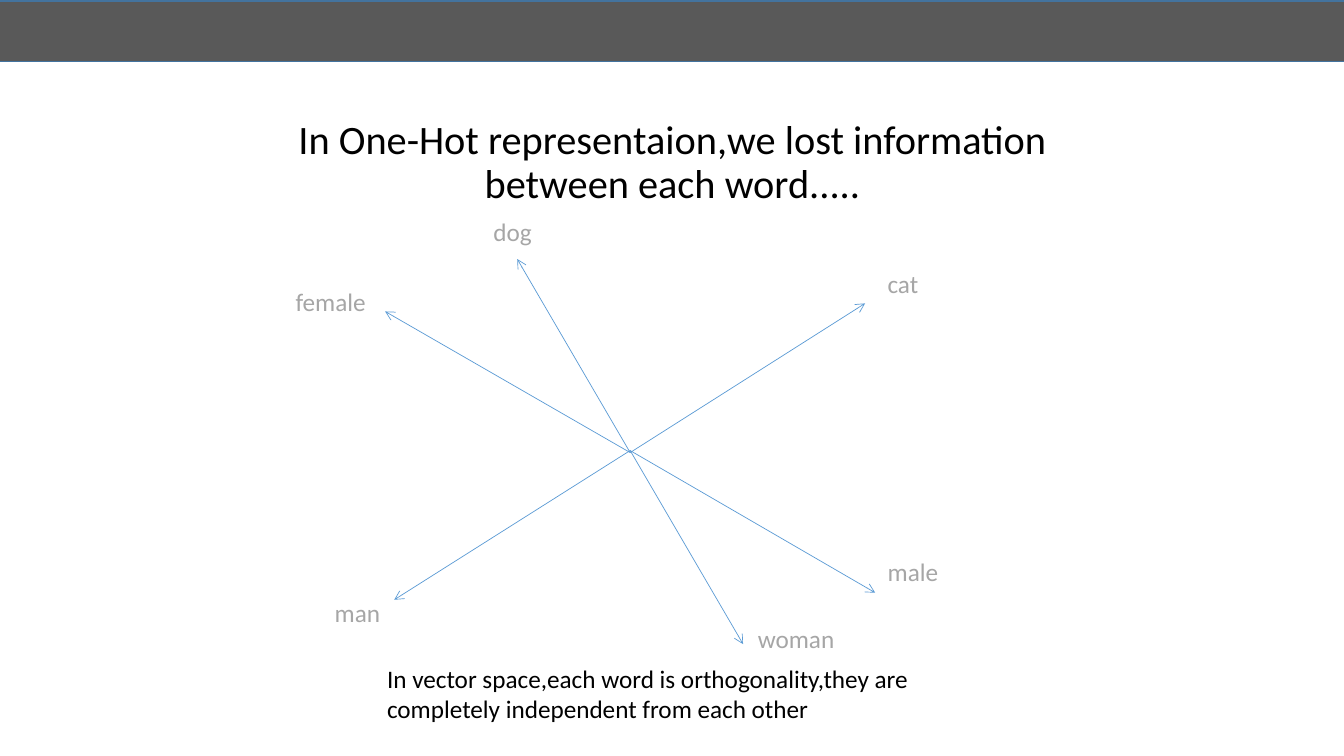
from dataclasses import dataclass

from lxml.etree import SubElement
from pptx import Presentation
from pptx.dml.color import RGBColor
from pptx.enum.shapes import MSO_CONNECTOR, MSO_SHAPE
from pptx.enum.text import MSO_ANCHOR, PP_ALIGN
from pptx.oxml.ns import qn
from pptx.slide import Slide
from pptx.util import Inches, Pt


@dataclass(frozen=True)
class Theme:
    """Colours, font and type sizes of the slide."""
    font: str = "Calibri"
    ink: RGBColor = RGBColor(0x00, 0x00, 0x00)
    muted: RGBColor = RGBColor(0xA6, 0xA6, 0xA6)
    band: RGBColor = RGBColor(0x59, 0x59, 0x59)
    band_edge: RGBColor = RGBColor(0x43, 0x73, 0x9E)
    arrow: RGBColor = RGBColor(0x5B, 0x9B, 0xD5)
    title_size: float = 28.8
    body_size: float = 18


@dataclass(frozen=True)
class TextBlock:
    """Wording, place and style of one text box."""
    text: str
    left: float
    top: float
    width: float
    height: float
    size: float
    color: RGBColor
    align: PP_ALIGN = PP_ALIGN.CENTER
    anchor: MSO_ANCHOR = MSO_ANCHOR.TOP
    spacing: float = 1.0


@dataclass(frozen=True)
class WordVector:
    """A word, its label box and the start height and tip of its arrow."""
    word: str
    left: float
    top: float
    width: float
    start_y: float
    tip_x: float
    tip_y: float


THEME = Theme()
ORIGIN_X = 6.25
LABEL_HEIGHT = 0.4
TITLE = TextBlock(
    "In One-Hot representaion,we lost information between each word.....",
    2.23, 1.22, 8.88, 0.88, THEME.title_size, THEME.ink,
    anchor=MSO_ANCHOR.BOTTOM, spacing=0.9)
CAPTION = TextBlock(
    "In vector space,each word is orthogonality,they are completely independent from each other",
    3.74, 6.53, 5.85, 0.71, THEME.body_size, THEME.ink, PP_ALIGN.LEFT)
VECTORS = (
    WordVector("male", 8.68, 5.47, 0.75, 4.47, 8.68, 5.88),
    WordVector("woman", 7.29, 6.13, 1.21, 4.47, 7.37, 6.39),
    WordVector("cat", 8.58, 2.61, 0.75, 4.49, 8.58, 3.01),
    WordVector("female", 2.74, 2.79, 1.08, 4.49, 3.82, 3.09),
    WordVector("man", 3.17, 5.88, 0.75, 4.47, 3.91, 5.95),
    WordVector("dog", 4.71, 2.1, 0.75, 4.49, 5.13, 2.57),
)


def add_text(page: Slide, block: TextBlock) -> None:
    """Add a wrapped, styled text box."""
    box = page.shapes.add_textbox(
        Inches(block.left), Inches(block.top), Inches(block.width), Inches(block.height))
    frame = box.text_frame
    frame.word_wrap = True
    frame.vertical_anchor = block.anchor
    frame.text = block.text
    para = frame.paragraphs[0]
    para.alignment = block.align
    para.line_spacing = block.spacing
    font = para.runs[0].font
    font.name = THEME.font
    font.size = Pt(block.size)
    font.color.rgb = block.color


def add_band(page: Slide) -> None:
    """Add the dark band across the top edge."""
    band = page.shapes.add_shape(
        MSO_SHAPE.RECTANGLE, Inches(-0.01), Inches(0.01), Inches(13.35), Inches(0.6))
    band.shadow.inherit = False
    band.fill.solid()
    band.fill.fore_color.rgb = THEME.band
    band.line.color.rgb = THEME.band_edge
    band.line.width = Pt(1)


def add_arrow(page: Slide, vector: WordVector) -> None:
    """Add the arrow from the centre to the tip of a word vector."""
    arrow = page.shapes.add_connector(
        MSO_CONNECTOR.STRAIGHT, Inches(ORIGIN_X), Inches(vector.start_y),
        Inches(vector.tip_x), Inches(vector.tip_y))
    arrow.line.color.rgb = THEME.arrow
    arrow.line.width = Pt(0.5)
    properties = arrow._element.spPr
    SubElement(properties.find(qn("a:ln")), qn("a:tailEnd"), type="arrow")
    SubElement(properties, qn("a:effectLst"))


def add_label(page: Slide, vector: WordVector) -> None:
    """Add the word beside its arrow."""
    add_text(page, TextBlock(
        vector.word, vector.left, vector.top, vector.width, LABEL_HEIGHT,
        THEME.body_size, THEME.muted))


def main() -> None:
    """Build the slide and save the deck."""
    deck = Presentation()
    deck.slide_width = Inches(13.33)
    deck.slide_height = Inches(7.5)
    page = deck.slides.add_slide(deck.slide_layouts[6])
    add_text(page, TITLE)
    add_band(page)
    for vector in VECTORS:
        add_arrow(page, vector)
    add_text(page, CAPTION)
    for vector in VECTORS:
        add_label(page, vector)
    deck.save("out.pptx")


main()
